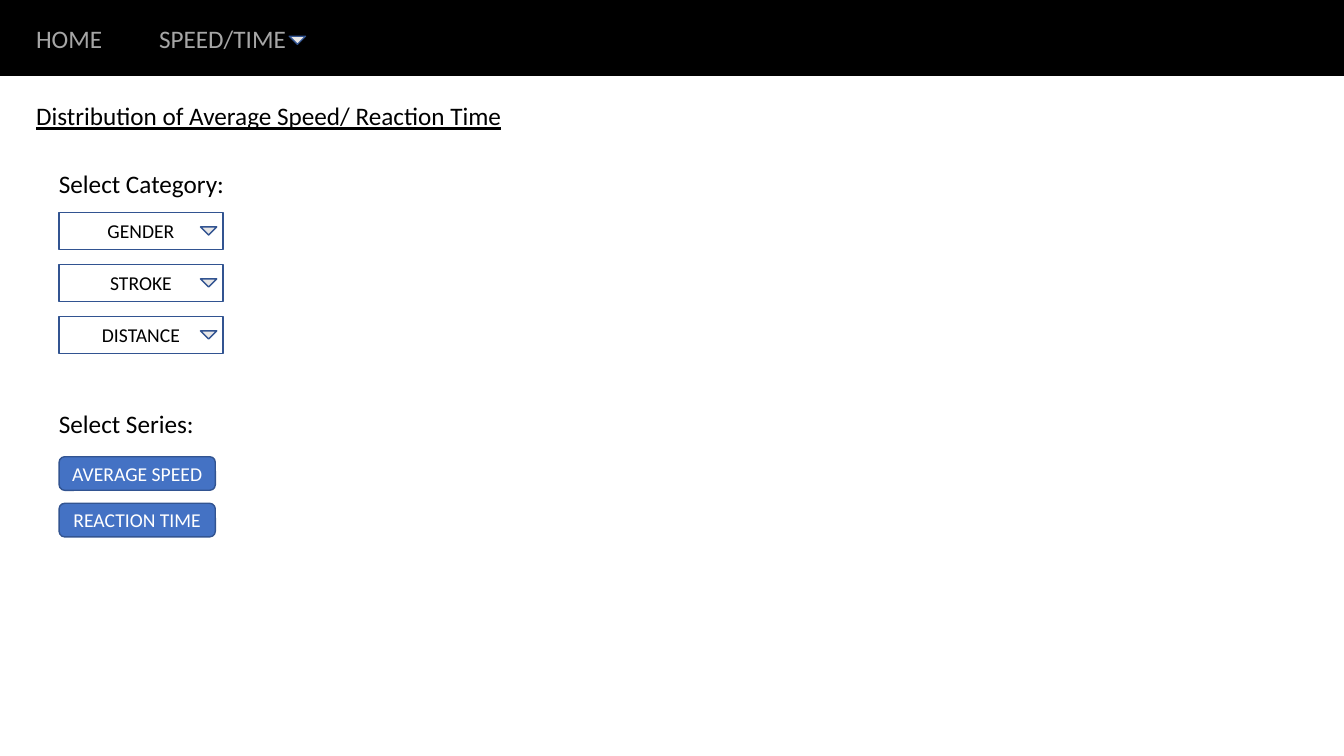
"""Builds the page mock-up for the average speed and reaction time view."""
from dataclasses import dataclass

from pptx import Presentation
from pptx.dml.color import RGBColor
from pptx.enum.shapes import MSO_SHAPE as Preset
from pptx.enum.text import MSO_ANCHOR as Anchor, MSO_AUTO_SIZE as AutoSize, PP_ALIGN as Align
from pptx.shapes.autoshape import Shape
from pptx.slide import Slide
from pptx.util import Pt


@dataclass(frozen=True)
class Theme:
    font: str = "Calibri"
    heading: float = 18
    control: float = 14
    outline: float = 1
    black: str = "000000"
    white: str = "FFFFFF"
    muted: str = "A6A6A6"
    arrow: str = "E7E6E6"
    accent: str = "4472C4"
    border: str = "325491"


THEME = Theme()


@dataclass(frozen=True)
class Area:
    left: float
    top: float
    width: float
    height: float

    def points(self) -> tuple[Pt, Pt, Pt, Pt]:
        return Pt(self.left), Pt(self.top), Pt(self.width), Pt(self.height)


@dataclass(frozen=True)
class Label:
    text: str
    area: Area
    color: str = THEME.black
    underline: bool = False
    wrap: bool = False


@dataclass(frozen=True)
class ControlGroup:
    names: tuple[str, ...]
    first: Area
    step: float
    preset: Preset
    fill: str
    color: str
    dropdown: bool = False


LABEL_HEIGHT = 29.08
CONTROL_LEFT = 42.2
LABELS = (
    Label("HOME", Area(18.72, 12.96, 61.92, LABEL_HEIGHT), THEME.muted),
    Label("SPEED/TIME", Area(106.56, 12.96, 105.84, LABEL_HEIGHT), THEME.muted),
    Label("Distribution of Average Speed/ Reaction Time",
          Area(18.72, 68.4, 367.2, LABEL_HEIGHT), underline=True, wrap=True),
    Label("Select Category:", Area(35, 116.64, 133.92, LABEL_HEIGHT)),
    Label("Select Series:", Area(35, 288, 112.32, LABEL_HEIGHT)),
)
GROUPS = (
    ControlGroup(("GENDER", "STROKE", "DISTANCE"), Area(CONTROL_LEFT, 151.7, 117, 26.6),
                 37.1, Preset.RECTANGLE, THEME.white, THEME.black, dropdown=True),
    ControlGroup(("AVERAGE SPEED", "REACTION TIME"), Area(CONTROL_LEFT, 326.2, 111.6, 24),
                 33.3, Preset.ROUNDED_RECTANGLE, THEME.accent, THEME.white),
)


def write(box: Shape, text: str, size: float, color: str,
          underline: bool, frame_format: dict, align: Align) -> None:
    for name, value in frame_format.items():
        setattr(box.text_frame, name, value)
    para = box.text_frame.paragraphs[0]
    para.alignment = align
    span = para.add_run()
    span.text = text
    span.font.color.rgb = RGBColor.from_string(color)
    font_format = {"name": THEME.font, "size": Pt(size), "underline": underline}
    for name, value in font_format.items():
        setattr(span.font, name, value)


def add_label(page: Slide, label: Label) -> None:
    box = page.shapes.add_textbox(*label.area.points())
    frame_format = {"word_wrap": label.wrap, "auto_size": AutoSize.SHAPE_TO_FIT_TEXT}
    write(box, label.text, THEME.heading, label.color, label.underline,
          frame_format, Align.LEFT)


def add_shape(page: Slide, preset: Preset, area: Area, fill: str, border: str) -> Shape:
    shape = page.shapes.add_shape(preset, *area.points())
    shape.shadow.inherit = False
    shape.fill.solid()
    shape.fill.fore_color.rgb = RGBColor.from_string(fill)
    shape.line.color.rgb = RGBColor.from_string(border)
    shape.line.width = Pt(THEME.outline)
    return shape


def add_arrow(page: Slide, left: float, top: float) -> None:
    arrow = add_shape(page, Preset.ISOSCELES_TRIANGLE, Area(left, top, 11.6, 5.8),
                      THEME.arrow, THEME.border)
    arrow.rotation = 180


def add_group(page: Slide, group: ControlGroup) -> None:
    first = group.first
    for index, name in enumerate(group.names):
        top = first.top + index * group.step
        area = Area(first.left, top, first.width, first.height)
        box = add_shape(page, group.preset, area, group.fill, THEME.border)
        frame_format = {"word_wrap": True, "vertical_anchor": Anchor.MIDDLE}
        write(box, name, THEME.control, group.color, False, frame_format, Align.CENTER)
        if group.dropdown:
            add_arrow(page, first.left + 101, top + 10.4)


def main() -> None:
    deck = Presentation()
    deck.slide_width, deck.slide_height = Pt(960), Pt(540)
    page = deck.slides.add_slide(deck.slide_layouts[6])
    add_shape(page, Preset.RECTANGLE, Area(0, 0, 960, 54), THEME.black, THEME.black)
    for label in LABELS:
        add_label(page, label)
    add_arrow(page, 206.6, 25.9)
    for group in GROUPS:
        add_group(page, group)
    deck.save("out.pptx")


main()
